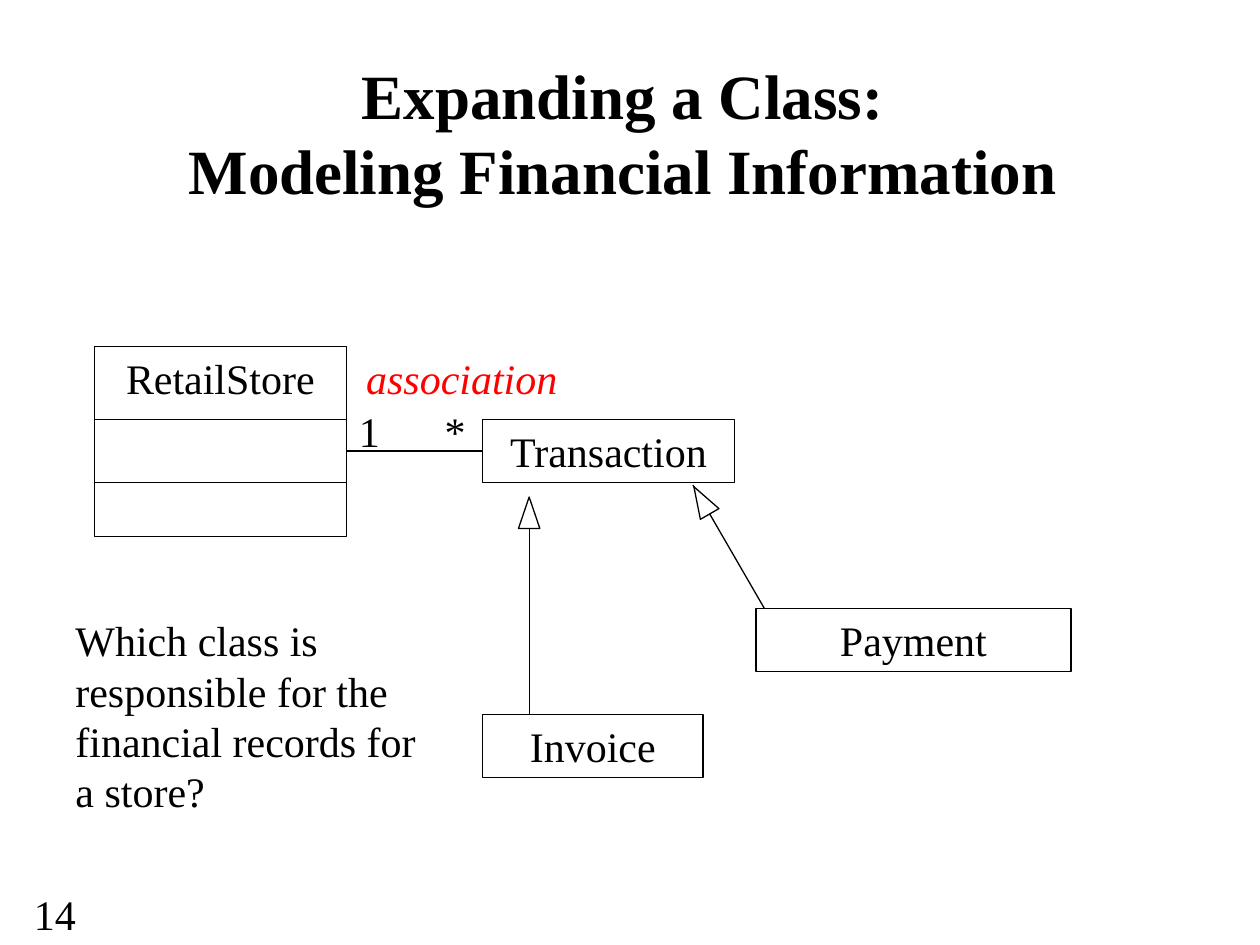
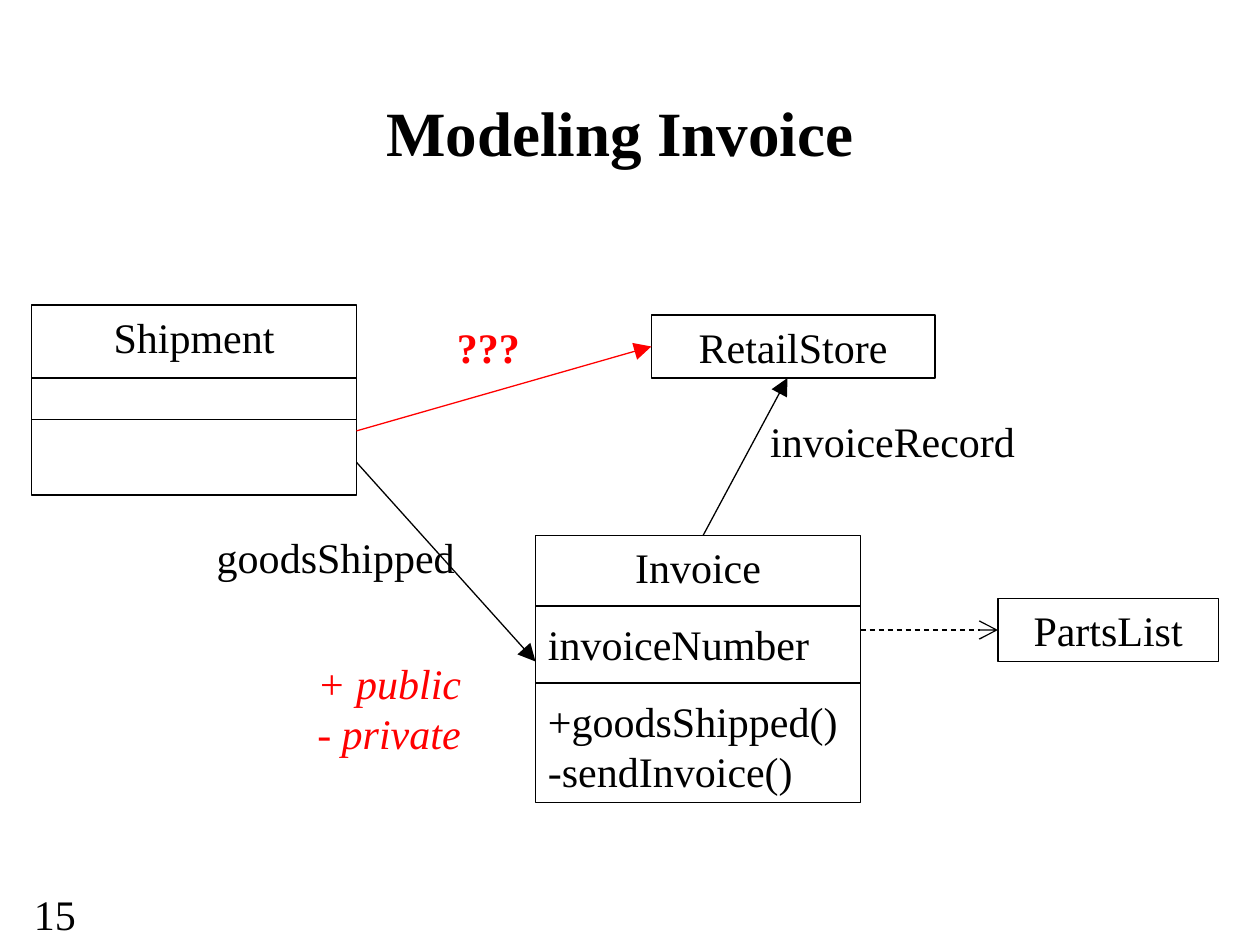
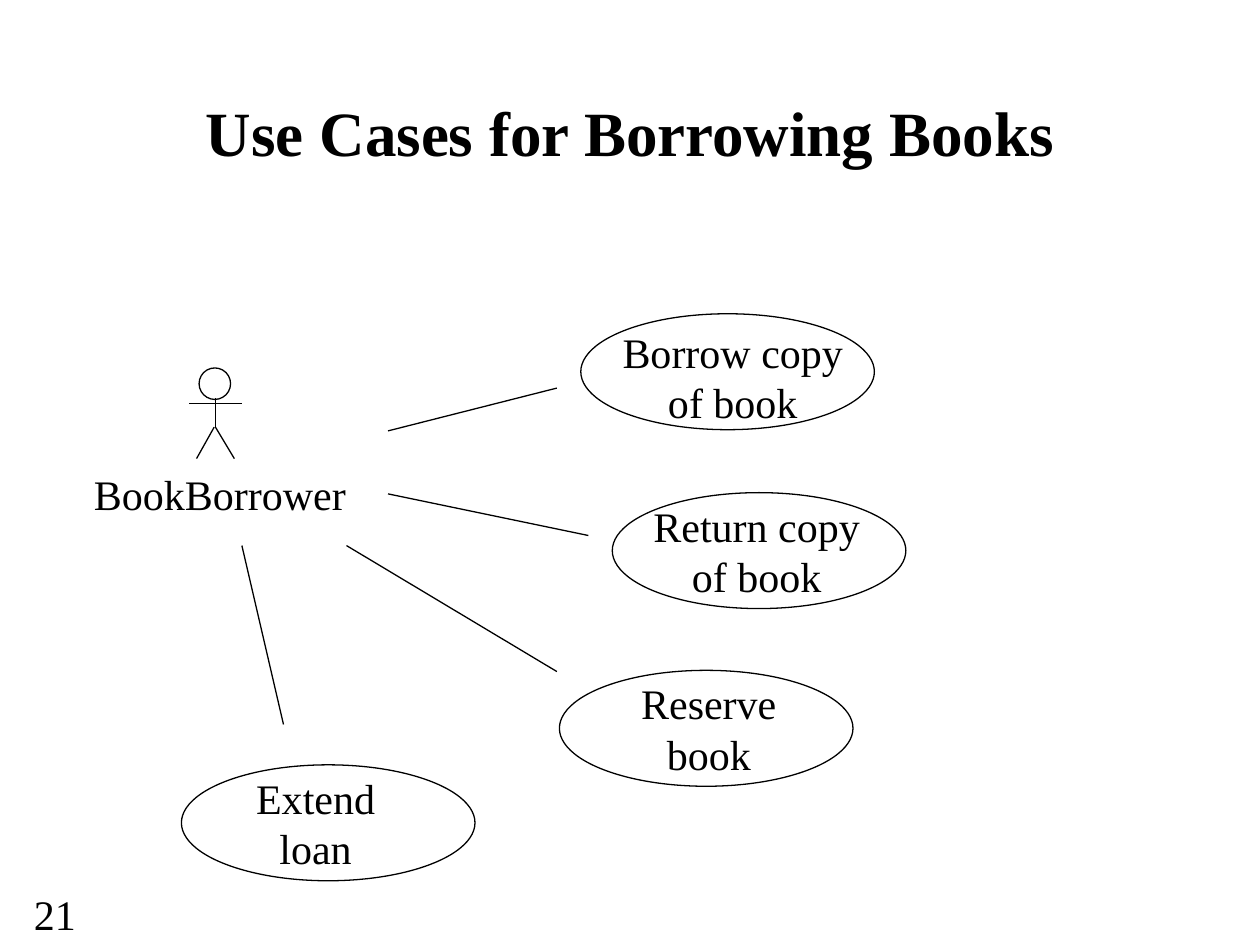
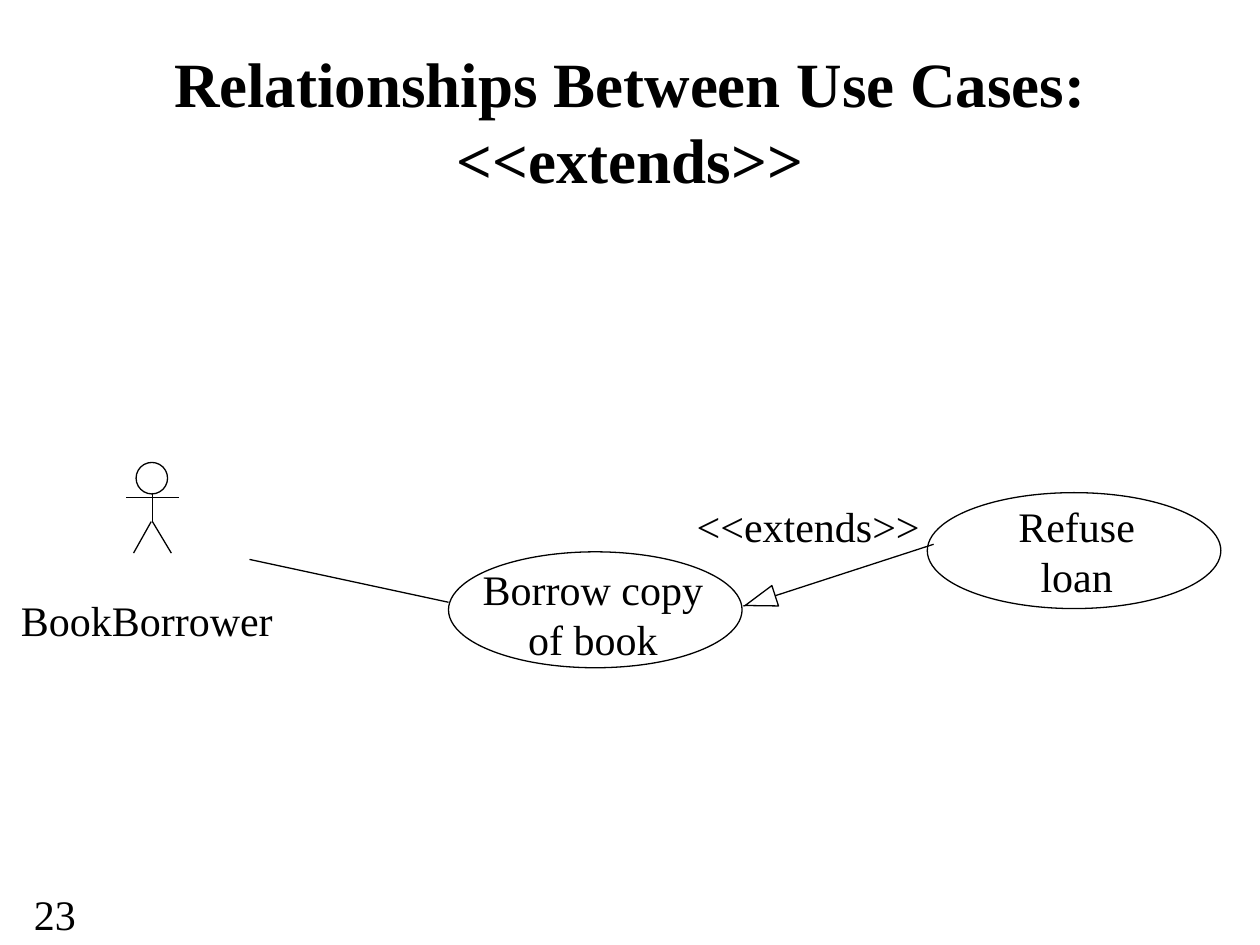
import math
from dataclasses import dataclass
from typing import NamedTuple

import pptx
import pptx.dml.color
import pptx.enum.dml
import pptx.enum.shapes
import pptx.enum.text
import pptx.oxml
import pptx.oxml.ns
import pptx.util
from pptx.util import Inches

SHAPE = pptx.enum.shapes.MSO_SHAPE
ALIGN = pptx.enum.text.PP_ALIGN
ANCHOR = pptx.enum.text.MSO_ANCHOR
TOP, LEFT, BOTTOM, RIGHT = range(4)


@dataclass(frozen=True)
class Theme:
    font: str = "Times New Roman"
    ink: str = "000000"
    accent: str = "FF0000"
    paper: str = "FFFFFF"
    title_size: float = 36
    body_size: float = 24
    section_gap: float = 15
    line_width: float = 0.75


THEME = Theme()


class Point(NamedTuple):
    x: float
    y: float


class Area(NamedTuple):
    left: float
    top: float
    width: float
    height: float

    def lengths(self) -> list:
        return [Inches(value) for value in self]


class ClassBox(NamedTuple):
    name: str
    area: Area
    dividers: tuple = ()
    sections: tuple = ()
    filled: bool = False


class UseCase(NamedTuple):
    label: str
    left: float
    top: float
    label_area: Area


ACTOR_HEAD = Area(0.08, 0, 0.25, 0.25)
ACTOR_LIMBS = (
    (Point(0.21, 0.24), Point(0.21, 0.47)),
    (Point(0, 0.28), Point(0.42, 0.28)),
    (Point(0.2, 0.47), Point(0.06, 0.72)),
    (Point(0.21, 0.47), Point(0.36, 0.72)),
)
USE_CASE_SIZE = (2.33, 0.92)
HEAD_SIZE = (0.17, 0.25)


def rgb(color: str) -> pptx.dml.color.RGBColor:
    return pptx.dml.color.RGBColor.from_string(color)


def write(frame, text: str, *, size: float = THEME.body_size, color: str = THEME.ink,
          bold: bool = False, italic: bool = False, align=ALIGN.CENTER,
          anchor=ANCHOR.TOP, space_before: float = 0, tab: float = 0) -> None:
    """Add one paragraph to a frame, using its empty first one if there is one."""
    frame.word_wrap = True
    frame.vertical_anchor = anchor
    first = frame.paragraphs[0]
    para = frame.add_paragraph() if first.runs else first
    if tab:
        stops = pptx.oxml.ns.nsdecls("a")
        para._p.get_or_add_pPr().append(pptx.oxml.parse_xml(
            f'<a:tabLst {stops}><a:tab pos="{Inches(tab)}" algn="l"/></a:tabLst>'))
    para.text = text
    para.alignment = align
    if space_before:
        para.space_before = pptx.util.Pt(space_before)
    for span in para.runs:
        span.font.name = THEME.font
        span.font.size = pptx.util.Pt(size)
        span.font.bold = bold
        span.font.italic = italic
        span.font.color.rgb = rgb(color)


def add_label(page, area: Area, *lines: str, **style) -> None:
    frame = page.shapes.add_textbox(*area.lengths()).text_frame
    for line in lines:
        write(frame, line, **style)


def add_outline(shapes, preset, area: Area, filled: bool = False):
    shape = shapes.add_shape(preset, *area.lengths())
    shape.shadow.inherit = False
    if filled:
        shape.fill.solid()
        shape.fill.fore_color.rgb = rgb(THEME.paper)
    else:
        shape.fill.background()
    shape.line.color.rgb = rgb(THEME.ink)
    shape.line.width = pptx.util.Pt(THEME.line_width)
    return shape


def add_line(shapes, start: Point, end: Point, color: str = THEME.ink,
             arrow: str = "", dashed: bool = False):
    line = shapes.add_connector(
        pptx.enum.shapes.MSO_CONNECTOR.STRAIGHT,
        *(Inches(value) for value in (*start, *end)))
    line.line.color.rgb = rgb(color)
    line.line.width = pptx.util.Pt(THEME.line_width)
    if dashed:
        line.line.dash_style = pptx.enum.dml.MSO_LINE.DASH
    properties = line.element.spPr
    namespace = pptx.oxml.ns.nsdecls("a")
    if arrow:
        properties.find(pptx.oxml.ns.qn("a:ln")).append(pptx.oxml.parse_xml(
            f'<a:tailEnd {namespace} type="{arrow}" w="lg" len="lg"/>'))
    properties.append(pptx.oxml.parse_xml(f"<a:effectLst {namespace}/>"))
    return line


def add_class(page, box: ClassBox):
    area = box.area
    shape = add_outline(page.shapes, SHAPE.RECTANGLE, area, box.filled)
    write(shape.text_frame, box.name)
    for section in box.sections:
        for index, member in enumerate(section):
            write(shape.text_frame, member, align=ALIGN.LEFT,
                  space_before=0 if index else THEME.section_gap)
    for y in box.dividers:
        add_line(page.shapes, Point(area.left, y), Point(area.left + area.width, y))
    return shape


def add_generalization(page, start: Point, end: Point, setback: float = 0.14) -> None:
    """Draw a line with a hollow head whose centre lies setback before its end."""
    shapes = page.shapes.add_group_shape().shapes
    add_line(shapes, start, end)
    dx, dy = end.x - start.x, end.y - start.y
    share = setback / math.hypot(dx, dy)
    width, height = HEAD_SIZE
    area = Area(end.x - dx * share - width / 2, end.y - dy * share - height / 2,
                width, height)
    head = add_outline(shapes, SHAPE.ISOSCELES_TRIANGLE, area, filled=True)
    head.rotation = math.degrees(math.atan2(dx, -dy)) % 360


def add_actor(page, left: float, top: float, label_area: Area) -> None:
    shapes = page.shapes.add_group_shape().shapes
    head = ACTOR_HEAD._replace(left=left + ACTOR_HEAD.left, top=top + ACTOR_HEAD.top)
    add_outline(shapes, SHAPE.OVAL, head)
    for limb in ACTOR_LIMBS:
        add_line(shapes, *(Point(left + x, top + y) for x, y in limb))
    add_label(page, label_area, "BookBorrower")


def add_use_case(page, case: UseCase) -> None:
    add_outline(page.shapes, SHAPE.OVAL, Area(case.left, case.top, *USE_CASE_SIZE))
    add_label(page, case.label_area, case.label)


def add_page(deck, number: int, title: str, title_area: Area):
    page = deck.slides.add_slide(deck.slide_layouts[6])
    page.background.fill.solid()
    page.background.fill.fore_color.rgb = rgb(THEME.paper)
    add_label(page, Area(0.17, 7, 0.67, 0.5), str(number), align=ALIGN.LEFT)
    add_label(page, title_area, title, size=THEME.title_size, bold=True,
              anchor=ANCHOR.MIDDLE)
    return page


def build_financial_classes(deck) -> None:
    page = add_page(deck, 14, "Expanding a Class: \vModeling Financial Information ",
                    Area(0.42, 0.42, 9.17, 1.25))
    add_class(page, ClassBox("RetailStore", Area(0.75, 2.75, 2, 1.51), (3.33, 3.83)))
    transaction = add_class(page, ClassBox("Transaction", Area(3.83, 3.33, 2, 0.5)))
    association = add_line(page.shapes, Point(2.75, 3.58), Point(3.83, 3.58))
    association.end_connect(transaction, LEFT)
    add_label(page, Area(2.75, 3.17, 1.08, 0.5), "1\t*", align=ALIGN.LEFT, tab=0.68)
    add_label(page, Area(2.75, 2.75, 1.83, 0.5), "association",
              color=THEME.accent, italic=True)
    add_generalization(page, Point(4.2, 5.67), Point(4.2, 4.17), setback=-0.1)
    add_generalization(page, Point(6.27, 5.18), Point(5.5, 3.85))
    add_class(page, ClassBox("Invoice", Area(3.83, 5.67, 1.75, 0.5), filled=True))
    add_class(page, ClassBox("Payment", Area(6, 4.83, 2.5, 0.5), filled=True))
    add_label(page, Area(0.5, 4.83, 2.92, 1.7),
              "Which class is responsible for the financial records for a store?",
              align=ALIGN.LEFT)


def build_invoice_model(deck) -> None:
    page = add_page(deck, 15, "Modeling Invoice", Area(0.67, 0.42, 8.5, 1.25))
    add_class(page, ClassBox("Shipment", Area(0.25, 2.42, 2.58, 1.51), (3, 3.33)))
    add_line(page.shapes, Point(2.83, 3.67), Point(4.25, 5.25), arrow="triangle")
    add_class(page, ClassBox(
        "Invoice", Area(4.25, 4.25, 2.58, 2.12), (4.81, 5.42),
        (("invoiceNumber",), ("+goodsShipped()", "-sendInvoice()")), filled=True))
    add_label(page, Area(1.58, 4.17, 2.17, 0.5), "goodsShipped")
    parts = add_class(page, ClassBox("PartsList", Area(7.92, 4.75, 1.75, 0.5)))
    dependency = add_line(page.shapes, Point(6.83, 5), Point(7.92, 5),
                          arrow="arrow", dashed=True)
    dependency.end_connect(parts, LEFT)
    add_label(page, Area(2.42, 5.17, 1.83, 0.9), "+ public", "- private",
              color=THEME.accent, italic=True, align=ALIGN.LEFT)
    store = add_class(page, ClassBox("RetailStore", Area(5.17, 2.5, 2.25, 0.5)))
    add_line(page.shapes, Point(5.58, 4.25), Point(6.25, 3), arrow="triangle")
    unknown = add_line(page.shapes, Point(2.83, 3.42), Point(5.17, 2.75),
                       color=THEME.accent, arrow="triangle")
    unknown.end_connect(store, LEFT)
    add_label(page, Area(3.25, 2.5, 1.25, 0.5), "???", color=THEME.accent, bold=True)
    add_label(page, Area(6, 3.25, 2.17, 0.5), "invoiceRecord")


def build_borrowing_cases(deck) -> None:
    page = add_page(deck, 21, "Use Cases for Borrowing Books",
                    Area(0.75, 0.42, 8.5, 1.25))
    add_actor(page, 1.5, 2.92, Area(0.58, 3.67, 2.33, 0.5))
    for case in (
        UseCase("Borrow copy of book", 4.61, 2.49, Area(4.69, 2.54, 2.25, 0.9)),
        UseCase("Return copy of book", 4.86, 3.91, Area(4.92, 3.92, 2.17, 0.9)),
        UseCase("Reserve book", 4.44, 5.32, Area(4.75, 5.33, 1.75, 0.9)),
        UseCase("Extend loan", 1.44, 6.07, Area(1.67, 6.08, 1.67, 0.9)),
    ):
        add_use_case(page, case)
    for start, end in (
        (Point(3.08, 3.42), Point(4.42, 3.08)),
        (Point(3.08, 3.92), Point(4.67, 4.25)),
        (Point(2.75, 4.33), Point(4.42, 5.33)),
        (Point(1.92, 4.33), Point(2.25, 5.75)),
    ):
        add_line(page.shapes, start, end)


def build_extends_relationship(deck) -> None:
    page = add_page(deck, 23, "Relationships Between Use Cases: <<extends>>",
                    Area(0.75, 0.33, 8.5, 1.25))
    add_line(page.shapes, Point(1.98, 4.44), Point(3.56, 4.78))
    add_actor(page, 1, 3.67, Area(0, 4.67, 2.33, 0.5))
    for case in (
        UseCase("Borrow copy of book", 3.56, 4.38, Area(3.58, 4.42, 2.25, 0.9)),
        UseCase("Refuse loan", 7.36, 3.91, Area(7.67, 3.92, 1.75, 0.9)),
    ):
        add_use_case(page, case)
    add_generalization(page, Point(7.41, 4.32), Point(5.9, 4.81))
    add_label(page, Area(5.33, 3.92, 2.17, 0.5), "<<extends>>")


def main() -> None:
    deck = pptx.Presentation()
    deck.slide_width, deck.slide_height = Inches(10), Inches(7.5)
    build_financial_classes(deck)
    build_invoice_model(deck)
    build_borrowing_cases(deck)
    build_extends_relationship(deck)
    deck.save("out.pptx")


if __name__ == "__main__":
    main()
